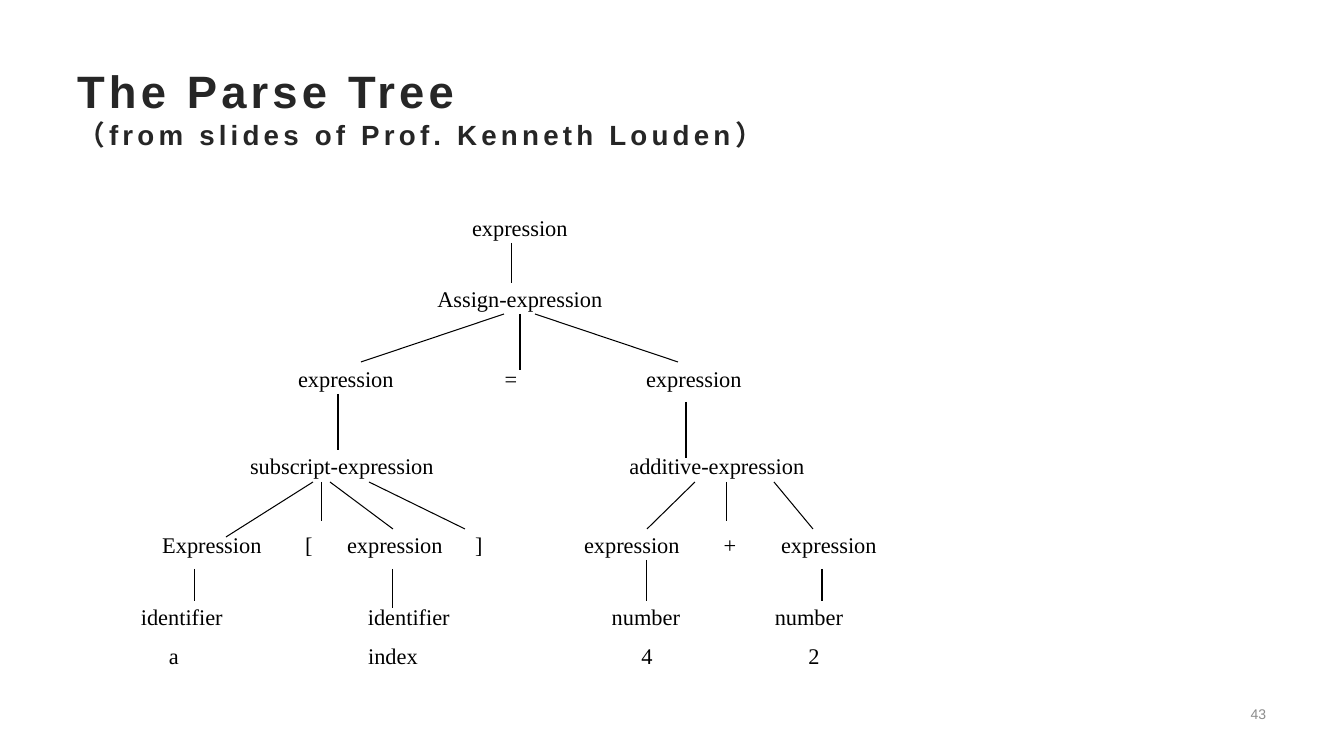
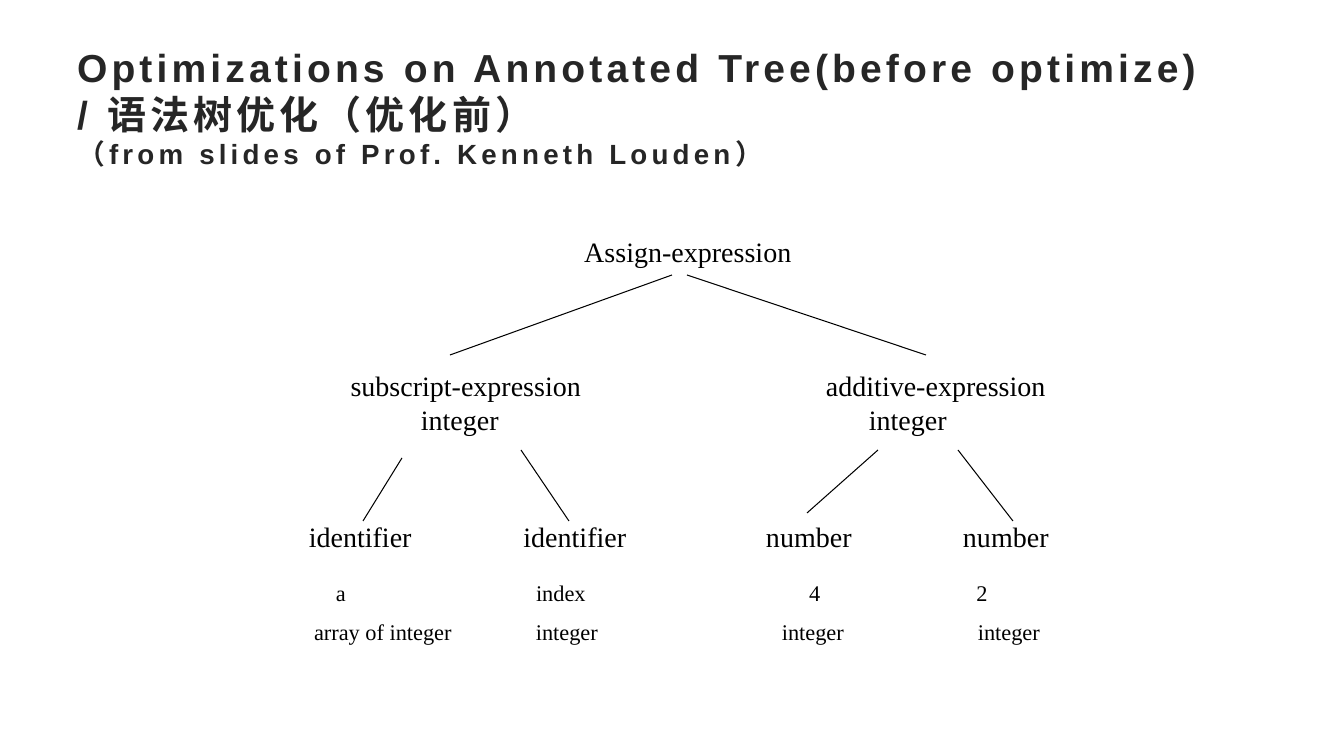
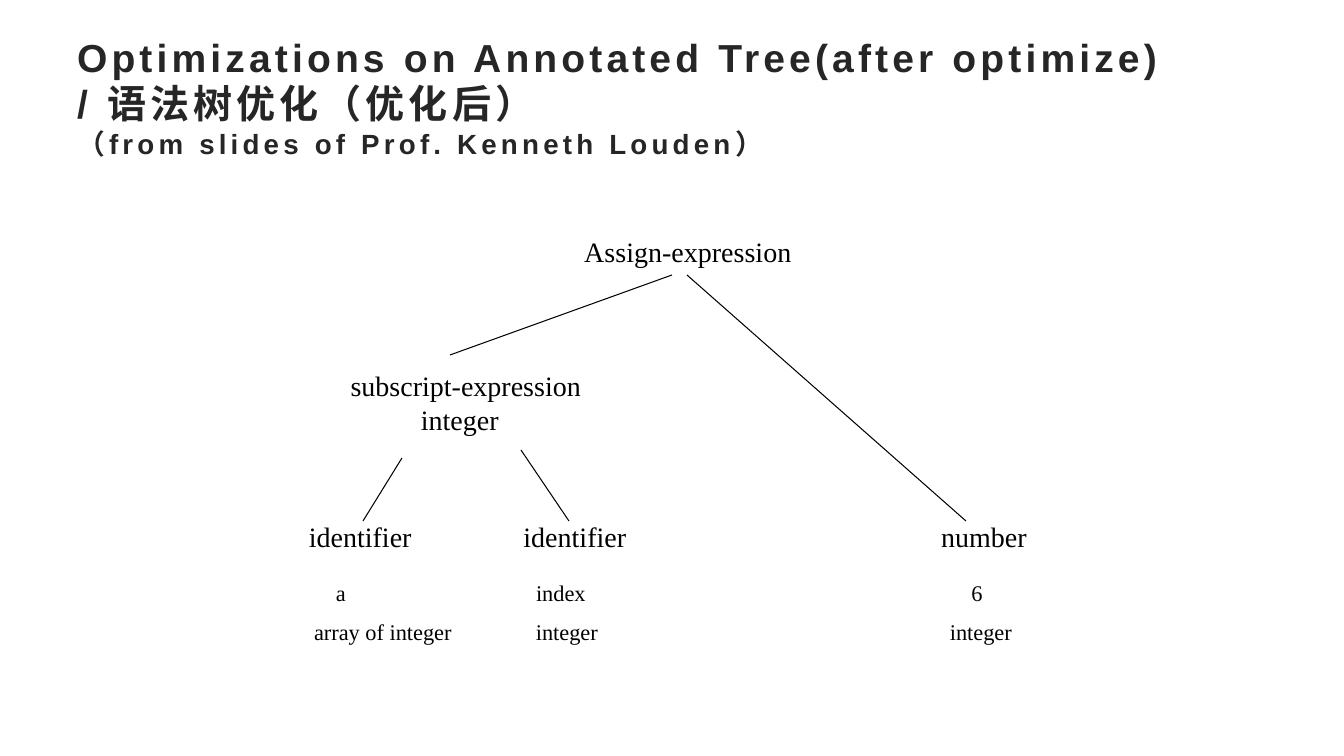
import dataclasses

import pptx
import pptx.dml.color
import pptx.enum.shapes
import pptx.enum.text
import pptx.oxml
import pptx.oxml.ns
import pptx.util

ALIGN = pptx.enum.text.PP_ALIGN
ANCHOR = pptx.enum.text.MSO_ANCHOR
EMU_PER_PX = 914400 / 100.8
INSET = 10


@dataclasses.dataclass(frozen=True)
class Theme:
    heading_font: str = "Arial"
    tree_font: str = "Times New Roman"
    paper: str = "FFFFFF"
    title: str = "262626"
    ink: str = "000000"
    muted: str = "8C8C8C"
    title_large: float = 32.4
    title_medium: float = 27.9
    subtitle: float = 19.8
    node_large: float = 20
    node_small: float = 16
    page: float = 10
    line: float = 0.75
    title_spacing: int = 300


THEME = Theme()
SOURCE_NOTE = "（from slides of Prof. Kenneth Louden）"


def px(n):
    return pptx.util.Emu(round(n * EMU_PER_PX))


def rgb(value):
    return pptx.dml.color.RGBColor.from_string(value)


def write(p, text, *, font, size, color, bold=False, spacing=None):
    """Add a formatted run to a paragraph."""
    r = p.add_run()
    r.text = text
    r.font.name = font
    r.font.size = pptx.util.Pt(size)
    r.font.bold = bold
    r.font.color.rgb = rgb(color)
    if spacing is not None:
        r._r.get_or_add_rPr().set("spc", str(spacing))


def add_centre_tabs(p, positions):
    tabs = "".join('<a:tab pos="%d" algn="ctr"/>' % px(x) for x in positions)
    p._p.get_or_add_pPr().append(pptx.oxml.parse_xml(
        "<a:tabLst %s>%s</a:tabLst>" % (pptx.oxml.ns.nsdecls("a"), tabs)))


class Deck:
    def __init__(self, theme):
        self.theme = theme
        self.prs = pptx.Presentation()
        self.prs.slide_width, self.prs.slide_height = px(1344), px(756)
        self.s = None

    def slide(self, lines, size, top=68, height=78):
        """Start a slide whose title lines are followed by the source note."""
        t = self.theme
        self.s = self.prs.slides.add_slide(self.prs.slide_layouts[5])
        self.s.background.fill.solid()
        self.s.background.fill.fore_color.rgb = rgb(t.paper)
        sp = self.s.shapes.title
        sp.left, sp.top, sp.width, sp.height = px(67), px(top), px(1210), px(height)
        tf = sp.text_frame
        tf.word_wrap = True
        tf.auto_size = pptx.enum.text.MSO_AUTO_SIZE.NONE
        tf.vertical_anchor = ANCHOR.MIDDLE
        p = tf.paragraphs[0]
        p.alignment = ALIGN.LEFT
        p.line_spacing = 1.0
        style = dict(font=t.heading_font, color=t.title, bold=True,
                     spacing=t.title_spacing)
        for line in lines:
            write(p, line, size=size, **style)
            p.add_line_break()
        write(p, SOURCE_NOTE, size=t.subtitle, **style)

    def page_number(self, number):
        t = self.theme
        sp = self.s.shapes.add_textbox(px(979), px(696), px(297), px(35))
        tf = sp.text_frame
        tf.word_wrap = True
        tf.vertical_anchor = ANCHOR.MIDDLE
        p = tf.paragraphs[0]
        p.alignment = ALIGN.RIGHT
        write(p, str(number), font=t.heading_font, size=t.page, color=t.muted)

    def row(self, left, top, height, size, *lines):
        """Draw a tree level; each line lists labels with their centre x."""
        t = self.theme
        sp = self.s.shapes.add_shape(
            pptx.enum.shapes.MSO_SHAPE.RECTANGLE,
            px(left), px(top), px(778), px(height))
        sp.shadow.inherit = False
        sp.fill.solid()
        sp.fill.fore_color.rgb = rgb(t.paper)
        sp.line.color.rgb = rgb(t.paper)
        sp.line.width = pptx.util.Pt(t.line)
        tf = sp.text_frame
        tf.word_wrap = True
        tf.vertical_anchor = ANCHOR.MIDDLE
        for i, nodes in enumerate(lines):
            p = tf.add_paragraph() if i else tf.paragraphs[0]
            p.alignment = ALIGN.LEFT
            add_centre_tabs(p, [x - left - INSET for x, _ in nodes])
            write(p, "".join("\t" + label for _, label in nodes),
                  font=t.tree_font, size=size, color=t.ink)

    def branches(self, lines):
        for x1, y1, x2, y2 in lines:
            c = self.s.shapes.add_connector(
                pptx.enum.shapes.MSO_CONNECTOR.STRAIGHT,
                px(x1), px(y1), px(x2), px(y2))
            c.line.color.rgb = rgb(self.theme.ink)
            c.line.width = pptx.util.Pt(self.theme.line)
            c._element.spPr.append(
                pptx.oxml.parse_xml(
                    "<a:effectLst %s/>" % pptx.oxml.ns.nsdecls("a")))

    def annotated_tree(self, right_branches, *, values, leaves, types,
                       operators=(), operator_types=()):
        """Draw the shared root and left subtree, then the given right one."""
        large, small = self.theme.node_large, self.theme.node_small
        left = 299
        self.row(left, 577, 32, small, [(341, "a"), (561, "index"), *values])
        self.row(left, 505, 63, large,
                 [(360, "identifier"), (575, "identifier"), *leaves])
        self.row(left, 355, 95, large,
                 [(466, "subscript-expression"), *operators],
                 [(460, "integer"), *operator_types])
        self.row(left, 220, 63, large, [(688, "Assign-expression")])
        self.row(left, 616, 32, small,
                 [(383, "array of integer"), (567, "integer"), *types])
        self.branches([(672, 275, 450, 355), (402, 458, 363, 521),
                       (521, 450, 569, 521)] + right_branches)


def parse_tree(deck):
    deck.slide(["The Parse Tree"], THEME.title_large)
    deck.page_number(43)
    rows = [
        (131, 640, [(174, "a"), (393, "index"), (647, "4"), (814, "2")]),
        (131, 601, [(182, "identifier"), (409, "identifier"),
                    (646, "number"), (809, "number")]),
        (131, 529, [(212, "Expression"), (309, "["), (395, "expression"),
                    (479, "]"), (632, "expression"), (730, "+"),
                    (829, "expression")]),
        (139, 450, [(342, "subscript-expression"),
                    (717, "additive-expression")]),
        (131, 363, [(346, "expression"), (511, "="), (694, "expression")]),
        (131, 283, [(520, "Assign-expression")]),
        (131, 212, [(520, "expression")]),
    ]
    for left, top, nodes in rows:
        deck.row(left, top, 32, THEME.node_small, nodes)
    deck.branches([
        (512, 243, 512, 283),
        (504, 314, 361, 362), (520, 314, 520, 370), (535, 314, 678, 362),
        (338, 394, 338, 450), (686, 402, 686, 458),
        (313, 482, 226, 537), (322, 482, 322, 521),
        (330, 482, 393, 529), (369, 482, 465, 529),
        (695, 482, 647, 529), (727, 482, 727, 521), (774, 482, 813, 529),
        (195, 569, 195, 601), (393, 569, 393, 608),
        (647, 560, 647, 601), (822, 569, 822, 601),
    ])


def before_optimize(deck):
    deck.slide(["Optimizations on Annotated Tree(before optimize)",
                "/ 语法树优化（优化前）"], THEME.title_medium)
    deck.annotated_tree(
        [(687, 275, 926, 355), (878, 450, 807, 513), (958, 450, 1013, 521)],
        operators=[(936, "additive-expression")],
        operator_types=[(908, "integer")],
        leaves=[(809, "number"), (1006, "number")],
        values=[(815, "4"), (982, "2")],
        types=[(813, "integer"), (1009, "integer")])


def after_optimize(deck):
    deck.slide(["Optimizations on Annotated Tree(after optimize)",
                "/ 语法树优化（优化后）"], THEME.title_medium, top=23, height=147)
    deck.annotated_tree(
        [(687, 275, 966, 521)],
        leaves=[(984, "number")],
        values=[(977, "6")],
        types=[(981, "integer")])


def main():
    deck = Deck(THEME)
    for build in (parse_tree, before_optimize, after_optimize):
        build(deck)
    deck.prs.save("out.pptx")


if __name__ == "__main__":
    main()
